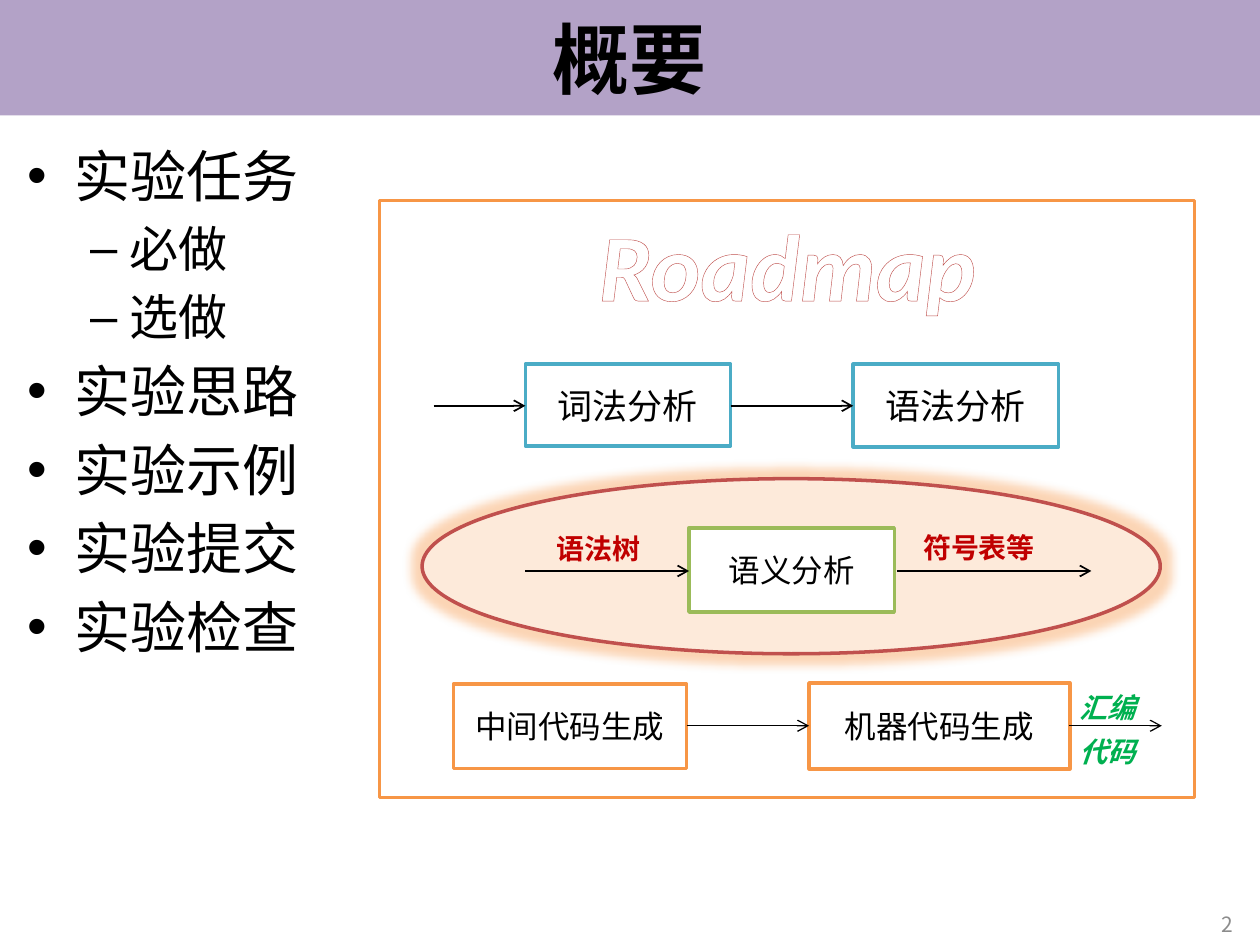
"""Build the lab overview slide with its compiler roadmap."""
from lxml import etree
from pptx import Presentation
from pptx.dml.color import RGBColor
from pptx.enum.shapes import MSO_CONNECTOR, MSO_SHAPE
from pptx.enum.text import MSO_ANCHOR, PP_ALIGN
from pptx.oxml.ns import qn
from pptx.util import Cm, Pt

RECT, OVAL, STRAIGHT = MSO_SHAPE.RECTANGLE, MSO_SHAPE.OVAL, MSO_CONNECTOR.STRAIGHT
TOP, MIDDLE = MSO_ANCHOR.TOP, MSO_ANCHOR.MIDDLE
LEFT, CENTER, RIGHT = PP_ALIGN.LEFT, PP_ALIGN.CENTER, PP_ALIGN.RIGHT

BLACK, WHITE, PURPLE = "000000", "FFFFFF", "B3A2C7"
ORANGE, PEACH, RED = "F79646", "FDEADA", "C0504D"
TEAL, OLIVE, DARK_RED, GREEN, GRAY = "4BACC6", "9BBB59", "C00000", "00B050", "8C8C8C"

AGENDA = [("实验任务", 0), ("必做", 1), ("选做", 1), ("实验思路", 0),
          ("实验示例", 0), ("实验提交", 0), ("实验检查", 0)]
LEVELS = [(32, 0.95, 0.95, "•"), (28, 2.06, 0.79, "–")]

STAGES = [
    ("词法分析", (10.59, 7.34, 4.14, 1.65), TEAL, 20),
    ("语法分析", (17.2, 7.34, 4.14, 1.67), TEAL, 20),
    ("语义分析", (13.89, 10.64, 4.14, 1.7), OLIVE, 18),
    ("中间代码生成", (9.14, 13.79, 4.7, 1.7), ORANGE, 18),
    ("机器代码生成", (16.31, 13.77, 5.26, 1.73), ORANGE, 18),
]
FLOWS = [
    (8.18, 1, [(8.74, 10.59), (14.73, 17.2)]),
    (11.51, 1, [(10.59, 13.89), (18.08, 22)]),
    (14.63, 0.75, [(13.84, 16.31), (21.54, 23.42)]),
]
FLOW_LABELS = [
    (["语法树"], (10.97, 10.39, 2.59, 1.07), DARK_RED, False),
    (["符号表等"], (18.36, 10.36, 2.97, 1.14), DARK_RED, False),
    (["汇编", "代码"], (21.51, 13.59, 2.34, 2.03), GREEN, True),
]


def rgb(color):
    return RGBColor.from_string(color)


def add_xml(parent, tag, **attributes):
    return etree.SubElement(parent, qn(tag), attributes)


def write(shape, lines, size, color=BLACK, align=LEFT, anchor=TOP,
          font="Calibri", bold=False, italic=False, spacing=None):
    frame = shape.text_frame
    frame.word_wrap = True
    frame.vertical_anchor = anchor
    frame.text = "\n".join(lines)
    for paragraph in frame.paragraphs:
        paragraph.alignment, paragraph.line_spacing = align, spacing
        style = paragraph.font
        style.name, style.size, style.bold, style.italic = font, Pt(size), bold, italic
        style.color.rgb = rgb(color)
    return frame


def add_block(slide, kind, box, fill, line=None):
    block = slide.shapes.add_shape(kind, *map(Cm, box))
    block.shadow.inherit = False
    block.fill.solid()
    block.fill.fore_color.rgb = rgb(fill)
    if line:
        block.line.color.rgb = rgb(line)
        block.line.width = Pt(2)
    else:
        block.line.fill.background()
    return block


def add_text(slide, box, lines, size, **style):
    return write(slide.shapes.add_textbox(*map(Cm, box)), lines, size, **style)


def add_arrow(slide, start, end, y, width):
    arrow = slide.shapes.add_connector(STRAIGHT, Cm(start), Cm(y), Cm(end), Cm(y))
    arrow.line.color.rgb = rgb(BLACK)
    arrow.line.width = Pt(width)
    add_xml(arrow.line._get_or_add_ln(), "a:tailEnd", type="arrow")
    add_xml(arrow._element.spPr, "a:effectLst")


def add_glow(shape, color, radius, alpha):
    effects = shape._element.spPr.find(qn("a:effectLst"))
    glow = add_xml(effects, "a:glow", rad=str(Pt(radius)))
    add_xml(add_xml(glow, "a:srgbClr", val=color), "a:alpha", val=str(alpha * 1000))


def outline_text(run, color, width):
    run.font.color.rgb = rgb(WHITE)
    line = etree.Element(qn("a:ln"), w=str(Pt(width)))
    add_xml(add_xml(line, "a:solidFill"), "a:srgbClr", val=color)
    run.font._element.insert(0, line)


def add_agenda(slide):
    frame = add_text(slide, (0.3, 2.72, 24.8, 15.19), [text for text, _ in AGENDA], 32)
    for paragraph, (_, level) in zip(frame.paragraphs, AGENDA):
        size, margin, hang, bullet = LEVELS[level]
        paragraph.level = level
        paragraph.font.size = Pt(size)
        paragraph.space_before = Pt(size * 0.2)
        properties = paragraph._p.get_or_add_pPr()
        properties.set("marL", str(Cm(margin)))
        properties.set("indent", str(-Cm(hang)))
        mark = etree.Element(qn("a:buChar"), char=bullet)
        face = etree.Element(qn("a:buFont"), typeface="Arial")
        properties.find(qn("a:defRPr")).addprevious(face)
        face.addnext(mark)


def add_roadmap(slide):
    add_block(slide, RECT, (7.65, 4.04, 16.43, 12.04), WHITE, ORANGE)
    focus = add_block(slide, OVAL, (8.51, 9.65, 14.88, 3.53), PEACH, RED)
    add_glow(focus, ORANGE, 11, 40)
    for name, box, line, size in STAGES:
        stage = add_block(slide, RECT, box, WHITE, line)
        write(stage, [name], size, align=CENTER, anchor=MIDDLE)
    for y, width, spans in FLOWS:
        for start, end in spans:
            add_arrow(slide, start, end, y, width)
    for lines, box, color, italic in FLOW_LABELS:
        add_text(slide, box, lines, 16, color=color, bold=True, italic=italic, spacing=1.3)
    heading = add_text(slide, (11.81, 4.04, 8.13, 2.57), ["Roadmap"], 54,
                       color=WHITE, align=CENTER, bold=True, italic=True)
    heading.word_wrap = False
    outline_text(heading.paragraphs[0].runs[0], RED, 0.52)


def main():
    deck = Presentation()
    deck.slide_width, deck.slide_height = Cm(25.4), Cm(19.05)
    slide = deck.slides.add_slide(deck.slide_layouts[6])
    title = add_block(slide, RECT, (0, 0, 25.4, 2.33), PURPLE)
    write(title, ["概要"], 44, align=CENTER, anchor=MIDDLE, font="Arial", bold=True)
    add_agenda(slide)
    add_text(slide, (19.18, 18.11, 5.92, 1.02), ["2"], 12, color=GRAY, align=RIGHT,
             anchor=MIDDLE, font="Noto Sans CJK SC")
    add_roadmap(slide)
    deck.save("out.pptx")


if __name__ == "__main__":
    main()
